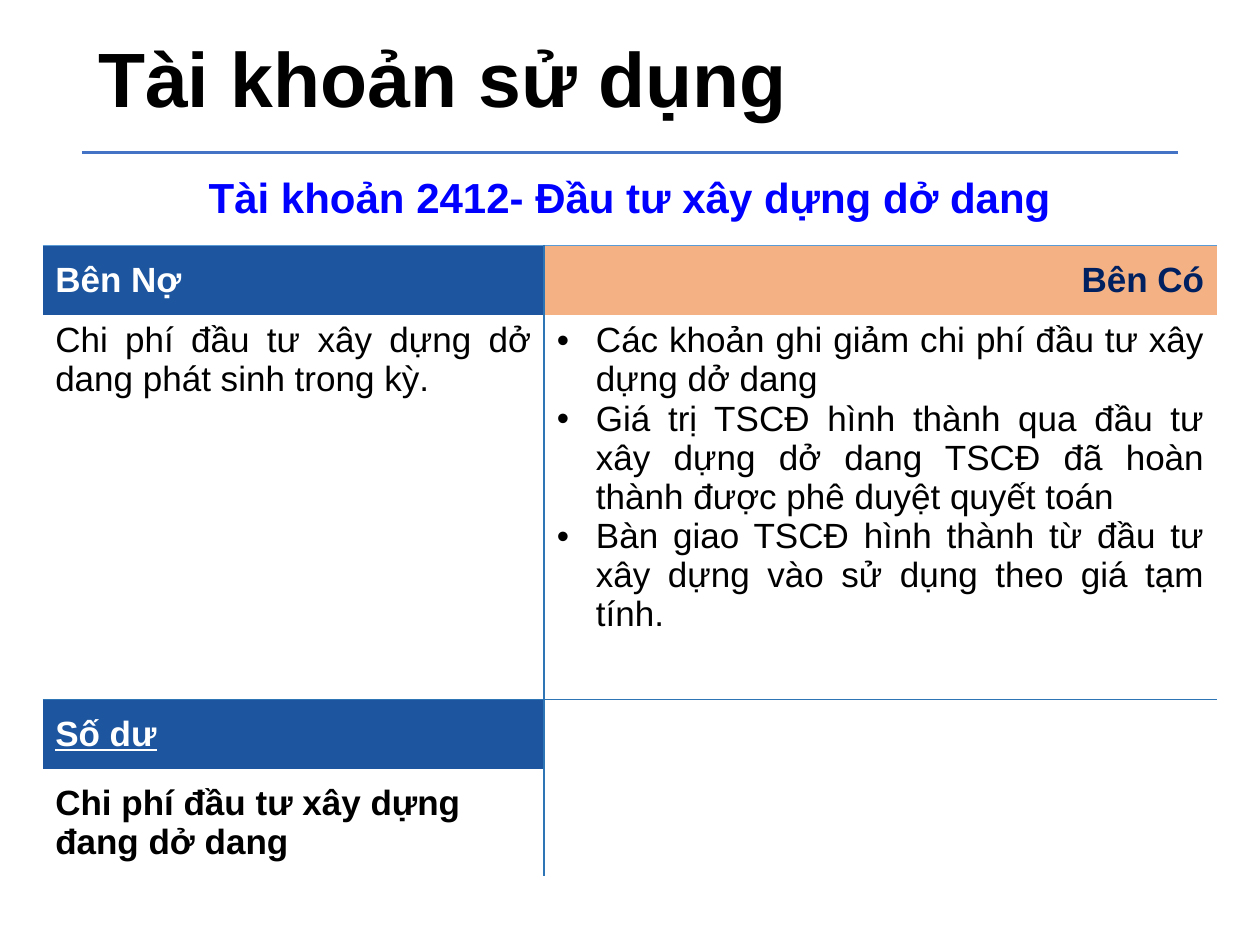
from lxml.etree import SubElement
from pptx import Presentation
from pptx.dml.color import RGBColor
from pptx.enum.shapes import MSO_CONNECTOR
from pptx.enum.text import MSO_ANCHOR, PP_ALIGN
from pptx.oxml import parse_xml
from pptx.oxml.ns import nsdecls, qn
from pptx.util import Cm, Pt

COLUMN_WIDTHS = [10.11, 13.56]
ROW_HEIGHTS = [1.9, 1.4, 7.75, 1.4, 2.16]
EDGES = ["L", "R", "T", "B"]
HEADING_FILL = "1D559F"
DIVIDER = "2E75B6"
HEADING_LINE = "5B9BD5"

CREDIT_ITEMS = [
    "Các khoản ghi giảm chi phí đầu tư xây dựng dở dang",
    "Giá trị TSCĐ hình thành qua đầu tư xây dựng dở dang TSCĐ đã hoàn "
    "thành được phê duyệt quyết toán",
    "Bàn giao TSCĐ hình thành từ đầu tư xây dựng vào sử dụng theo giá tạm tính.",
]


def color(hex_value):
    return RGBColor.from_string(hex_value)


def add_bullet(paragraph):
    properties = paragraph._p.get_or_add_pPr()
    properties.set("marL", str(Cm(0.79)))
    properties.set("indent", str(-Cm(0.79)))
    SubElement(properties, qn("a:buFont"), typeface="Arial")
    SubElement(properties, qn("a:buChar"), char="•")


def write(frame, lines, hex_value="000000", align=PP_ALIGN.LEFT, bullets=False, **font_format):
    """Fill a text frame with one paragraph per line."""
    settings = {"name": "Arial", "size": Pt(20), "bold": True} | font_format
    for index, line in enumerate(lines):
        paragraph = frame.add_paragraph() if index else frame.paragraphs[0]
        paragraph.alignment = align
        if bullets:
            add_bullet(paragraph)
        run = paragraph.add_run()
        run.text = line
        for attribute, value in settings.items():
            setattr(run.font, attribute, value)
        run.font.color.rgb = color(hex_value)


def set_borders(cell, borders):
    """Draw the edges given as {edge: colour} and hide the others."""
    properties = cell._tc.get_or_add_tcPr()
    for index, edge in enumerate(EDGES):
        paint = "<a:noFill/>"
        if edge in borders:
            paint = f'<a:solidFill><a:srgbClr val="{borders[edge]}"/></a:solidFill>'
        line = f'<a:ln{edge} {nsdecls("a")} w="{Pt(1)}">{paint}</a:ln{edge}>'
        properties.insert(index, parse_xml(line))


def borders_at(row, column):
    """The middle divider starts below the heading; rules run under rows 0 and 2."""
    borders = {}
    if row > 0:
        borders["L" if column else "R"] = DIVIDER
    if row in (0, 2):
        borders["B"] = DIVIDER if row else HEADING_LINE
    if row in (1, 3):
        borders["T"] = HEADING_LINE if row == 1 else DIVIDER
    return borders


def add_title(slide, title):
    box = slide.shapes.add_textbox(Cm(1.73), Cm(0.28), Cm(21.89), Cm(2.77))
    frame = box.text_frame
    frame.word_wrap = True
    frame.vertical_anchor = MSO_ANCHOR.MIDDLE
    write(frame, [title], size=Pt(44))
    frame.paragraphs[0].line_spacing = 0.9


def add_title_rule(slide):
    rule = slide.shapes.add_connector(
        MSO_CONNECTOR.STRAIGHT, Cm(1.65), Cm(3.07), Cm(23.75), Cm(3.07))
    rule.line.color.rgb = color("4472C4")
    rule.line.width = Pt(1.5)
    SubElement(rule._element.spPr, qn("a:effectLst"))


def add_account_grid(slide):
    table = slide.shapes.add_table(
        len(ROW_HEIGHTS), len(COLUMN_WIDTHS), Cm(0.86), Cm(3.05),
        Cm(sum(COLUMN_WIDTHS)), Cm(sum(ROW_HEIGHTS))).table
    table.first_row = table.horz_banding = False
    for column, width in zip(table.columns, COLUMN_WIDTHS):
        column.width = Cm(width)
    for row, height in zip(table.rows, ROW_HEIGHTS):
        row.height = Cm(height)
    for row in range(len(ROW_HEIGHTS)):
        for column in range(len(COLUMN_WIDTHS)):
            cell = table.cell(row, column)
            cell.fill.background()
            cell.vertical_anchor = MSO_ANCHOR.TOP if row == 2 else MSO_ANCHOR.MIDDLE
            set_borders(cell, borders_at(row, column))
    table.cell(0, 0).merge(table.cell(0, 1))
    return table


def fill_account(table):
    for row, column, fill in [(1, 0, HEADING_FILL), (1, 1, "F4B183"), (3, 0, HEADING_FILL)]:
        heading = table.cell(row, column)
        heading.fill.solid()
        heading.fill.fore_color.rgb = color(fill)

    def write_cell(row, column, lines, *args, **text_format):
        write(table.cell(row, column).text_frame, lines, *args, **text_format)

    write_cell(0, 0, ["Tài khoản 2412- Đầu tư xây dựng dở dang"], "0000FF",
               PP_ALIGN.CENTER, size=Pt(24))
    write_cell(1, 0, ["Bên Nợ"], "FFFFFF")
    write_cell(1, 1, ["Bên Có"], "002060", PP_ALIGN.RIGHT)
    write_cell(2, 0, ["Chi phí đầu tư xây dựng dở dang phát sinh trong kỳ."],
               align=PP_ALIGN.JUSTIFY, bold=False)
    write_cell(2, 1, CREDIT_ITEMS, align=PP_ALIGN.JUSTIFY, bullets=True, bold=False)
    write_cell(3, 0, ["Số dư"], "FFFFFF", underline=True)
    write_cell(4, 0, ["Chi phí đầu tư xây dựng đang dở dang"])


def main():
    presentation = Presentation()
    presentation.slide_width, presentation.slide_height = Cm(25.4), Cm(19.05)
    slide = presentation.slides.add_slide(presentation.slide_layouts[6])
    add_title_rule(slide)
    add_title(slide, "Tài khoản sử dụng")
    fill_account(add_account_grid(slide))
    presentation.save("out.pptx")


if __name__ == "__main__":
    main()
